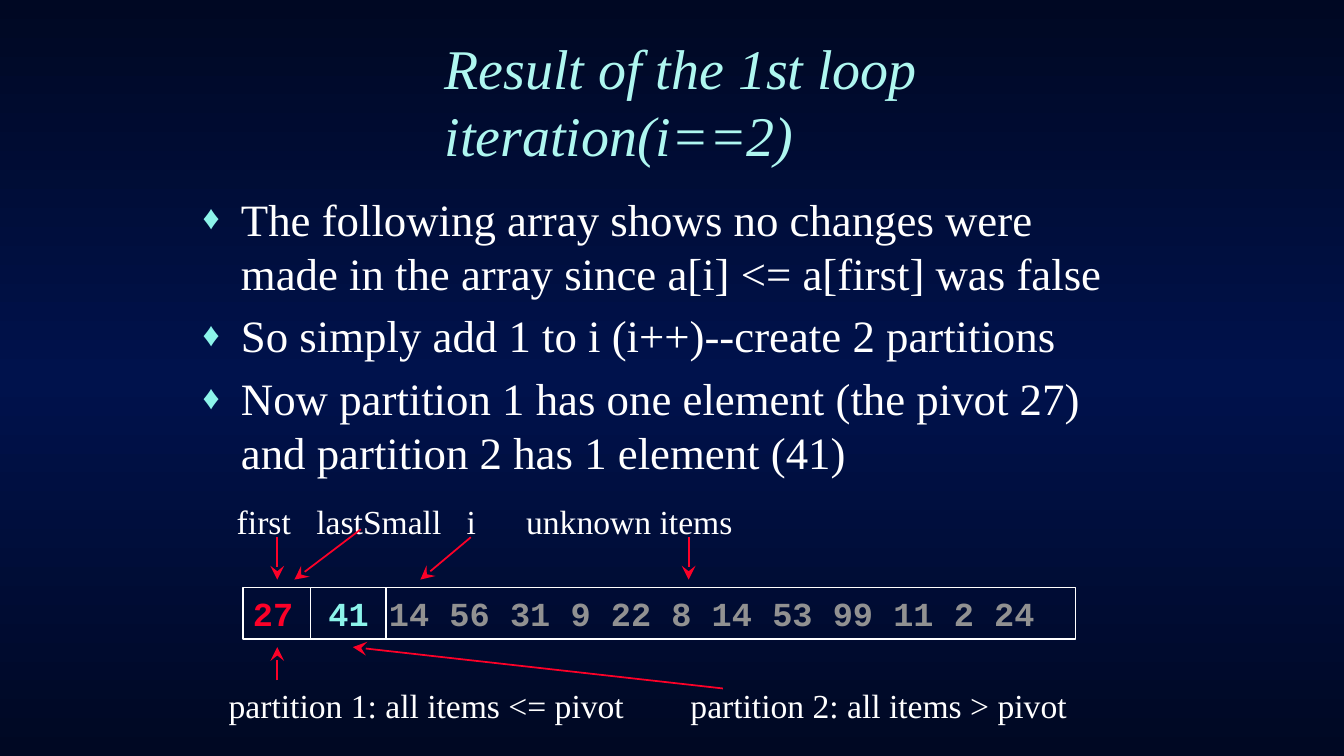
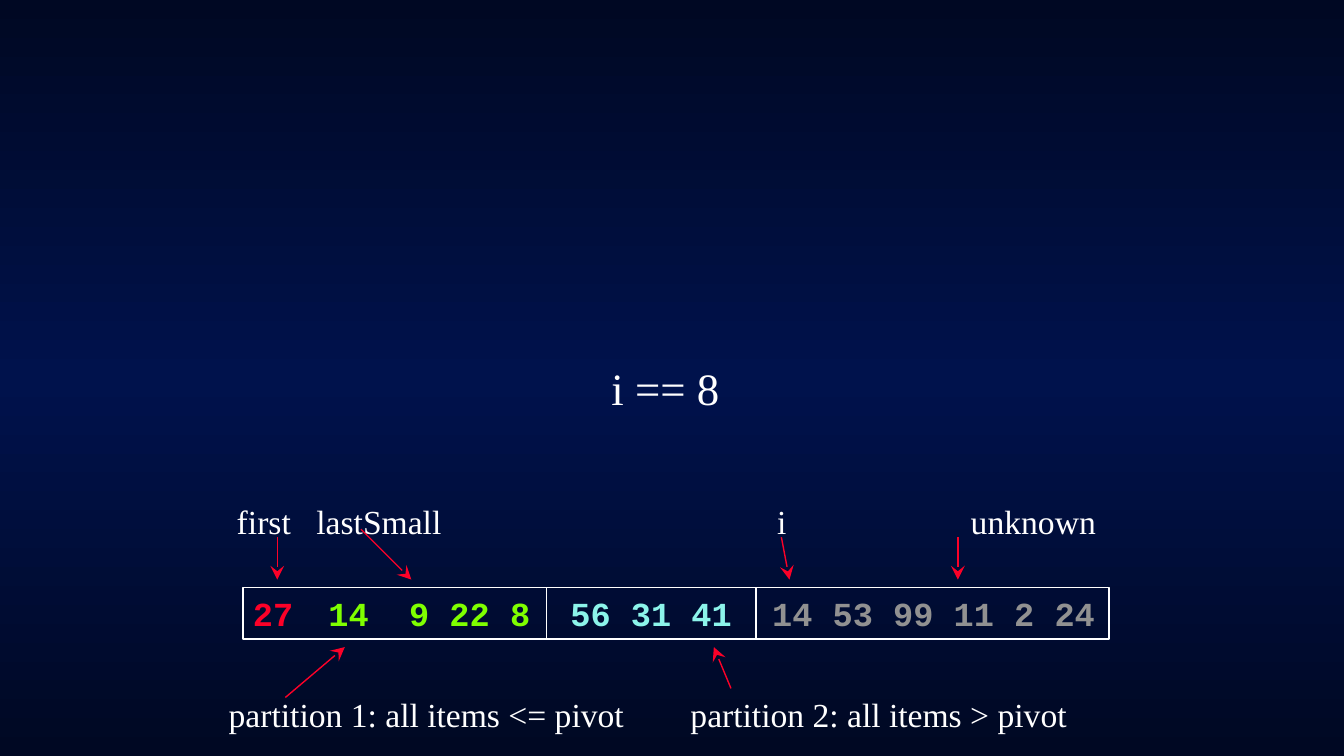
from dataclasses import dataclass

from lxml import etree
from pptx import Presentation
from pptx import util as u
from pptx.dml import color
from pptx.enum import shapes, text
from pptx.oxml import ns


@dataclass(frozen=True)
class Theme:
    """Colours, fonts and sizes that the slides share."""
    edge: str = "000823"
    middle: str = "00124C"
    title: str = "AFF7F0"
    white: str = "FFFFFF"
    red: str = "FC0128"
    cyan: str = "8CF4EA"
    green: str = "7FFF00"
    grey: str = "919191"
    serif: str = "Times New Roman"
    mono: str = "Courier New"
    title_size: int = 40
    body_size: int = 32
    label_size: int = 24


THEME = Theme()
ARRAY_LEFT, ARRAY_TOP, ROW_HEIGHT = 2.41, 5.83, 0.51
LABEL_TOP = 4.92
CHARACTER_WIDTH = 0.2


def rgb(value):
    """Turn a hex string into a colour."""
    return color.RGBColor.from_string(value)


def add_child(parent, tag, **attributes):
    """Append a drawing element with the given attributes."""
    child = etree.SubElement(parent, ns.qn(tag))
    for name, value in attributes.items():
        child.set(name, str(value))
    return child


def paint_background(master):
    """Give the master the dark vertical gradient."""
    fill = master.background.fill
    fill.gradient()
    fill.gradient_angle = 90
    stops = master.element.xpath(".//p:bgPr//a:gsLst")[0]
    for stop in list(stops):
        stops.remove(stop)
    for percent, value in ((0, THEME.edge), (50, THEME.middle), (100, THEME.edge)):
        stop = add_child(stops, "a:gs", pos=percent * 1000)
        add_child(stop, "a:srgbClr", val=value)


def place(shape, left, top, width, height):
    """Move and size a shape, in inches."""
    shape.left, shape.top = u.Inches(left), u.Inches(top)
    shape.width, shape.height = u.Inches(width), u.Inches(height)


def style_font(span, size, value, name=THEME.serif, bold=False, italic=False):
    """Format one run."""
    span.font.size = u.Pt(size)
    span.font.name = name
    span.font.bold = bold
    span.font.italic = italic
    span.font.color.rgb = rgb(value)


def set_paragraph(para, space=0, margin=0.0, indent=0.0, bullet=None):
    """Set spacing in percent, indents and bullet."""
    properties = para._p.get_or_add_pPr()
    properties.set("marL", str(u.Inches(margin)))
    properties.set("indent", str(u.Inches(indent)))
    before = add_child(properties, "a:spcBef")
    add_child(before, "a:spcPct", val=space * 1000)
    if bullet:
        add_child(add_child(properties, "a:buClr"), "a:srgbClr", val=THEME.cyan)
        add_child(properties, "a:buSzPct", val=75000)
        add_child(properties, "a:buChar", char=bullet)
    else:
        add_child(properties, "a:buNone")


def set_title(page, words):
    """Fill the title placeholder."""
    title = page.shapes.title
    place(title, 2.25, 0.5, 7.25, 1)
    frame = title.text_frame
    frame.text = words
    frame.auto_size = text.MSO_AUTO_SIZE.NONE
    frame.vertical_anchor = text.MSO_ANCHOR.MIDDLE
    para = frame.paragraphs[0]
    para.alignment = text.PP_ALIGN.LEFT
    set_paragraph(para, margin=2.06)
    style_font(para.runs[0], THEME.title_size, THEME.title, italic=True)


def set_body(page, lines, bounds, **layout):
    """Fill the body placeholder with one paragraph per line."""
    body = page.placeholders[1]
    place(body, *bounds)
    frame = body.text_frame
    frame.text = "\n".join(lines)
    frame.auto_size = text.MSO_AUTO_SIZE.NONE
    frame.vertical_anchor = text.MSO_ANCHOR.TOP
    for para in frame.paragraphs:
        set_paragraph(para, **layout)
        style_font(para.runs[0], THEME.body_size, THEME.white)
    return frame


def add_text(page, words, left, top, value=THEME.white, **font):
    """Add one line of text in a box as wide as its characters need."""
    box = page.shapes.add_textbox(0, 0, 0, 0)
    place(box, left, top, len(words) * CHARACTER_WIDTH + 0.3, ROW_HEIGHT)
    frame = box.text_frame
    frame.word_wrap = True
    para = frame.paragraphs[0]
    para.text = words
    set_paragraph(para, space=50)
    style_font(para.runs[0], THEME.label_size, value, **font)


def add_labels(page, top, labels):
    """Add a row of labels, each at its own left edge."""
    for left, words in labels:
        add_text(page, words, left, top)


def add_partitions(page, top):
    """Name the two partitions below the array."""
    add_labels(page, top, (
        (2.17, "partition 1: all items <= pivot"),
        (6.75, "partition 2: all items > pivot"),
    ))


def add_line(page, start, end, value, width, arrow=False):
    """Draw a straight line, with an arrowhead at its end if asked."""
    points = [u.Inches(length) for length in (*start, *end)]
    line = page.shapes.add_connector(shapes.MSO_CONNECTOR.STRAIGHT, *points)
    line.line.color.rgb = rgb(value)
    line.line.width = u.Pt(width)
    if arrow:
        outline = line.line._get_or_add_ln()
        add_child(outline, "a:tailEnd", type="stealth", w="lg", len="lg")
    add_child(line._element.spPr, "a:effectLst")


def add_arrows(page, routes, width):
    """Draw the red pointer arrows."""
    for start, end in routes:
        add_line(page, start, end, THEME.red, width, arrow=True)


def add_array(page, width, segments, dividers):
    """Draw the array as a framed row of coloured numbers."""
    box = page.shapes.add_shape(shapes.MSO_SHAPE.RECTANGLE, 0, 0, 0, 0)
    place(box, ARRAY_LEFT, ARRAY_TOP, width, ROW_HEIGHT)
    box.shadow.inherit = False
    box.fill.background()
    box.line.color.rgb = rgb(THEME.white)
    box.line.width = u.Pt(1)
    for offset, numbers, value in segments:
        add_text(page, numbers, ARRAY_LEFT + offset, ARRAY_TOP, value,
                 name=THEME.mono, bold=True)
    for x in dividers:
        add_line(page, (x, ARRAY_TOP), (x, ARRAY_TOP + 0.5), THEME.white, 1)


def build_first_iteration(page):
    """Build the slide on the first loop iteration."""
    set_title(page, "Result of the 1st loop iteration(i==2)")
    set_body(page, (
        "The following array shows no changes were made in the array since a[i] <= a[first] was false",
        "So simply add 1 to i (i++)--create 2 partitions",
        "Now partition 1 has one element (the pivot 27) and partition 2 has 1 element (41)",
    ), (1.91, 1.85, 9.27, 3.01), space=20, margin=0.38, indent=-0.38, bullet="♦")
    add_array(page, 8.26, (
        (0, "27", THEME.red),
        (0.75, "41", THEME.cyan),
        (1.35, "14 56 31 9 22 8 14 53 99 11 2 24", THEME.grey),
    ), (3.08, 3.83))
    add_labels(page, LABEL_TOP, (
        (2.25, "first"), (3.04, "lastSmall"), (4.53, "i"), (5.12, "unknown items"),
    ))
    add_partitions(page, 6.75)
    add_arrows(page, (
        ((2.75, 5.33), (2.75, 5.75)),
        ((3.58, 5.25), (2.92, 5.75)),
        ((4.67, 5.33), (4.17, 5.75)),
        ((6.83, 5.33), (6.83, 5.75)),
        ((2.75, 6.75), (2.75, 6.42)),
        ((7.17, 6.83), (3.5, 6.42)),
    ), 1.25)


def build_eighth_index(page):
    """Build the slide on the state at index eight."""
    title = page.shapes.title._element
    title.getparent().remove(title)
    frame = set_body(page, ("i == 8",), (2, 1.92, 9.08, 3.17), margin=0.43, indent=-0.31)
    frame.margin_top = u.Inches(1.66)
    frame.paragraphs[0].alignment = text.PP_ALIGN.CENTER
    add_array(page, 8.59, (
        (0, "27", THEME.red),
        (0.75, "14", THEME.green),
        (1.55, "9 22 8", THEME.green),
        (3.15, "56 31 41", THEME.cyan),
        (5.15, "14 53 99 11 2 24", THEME.grey),
    ), (5.42, 7.5))
    add_labels(page, LABEL_TOP, (
        (2.25, "first"), (3.04, "lastSmall"), (7.61, "i"), (9.53, "unknown"),
    ))
    add_partitions(page, 6.83)
    add_arrows(page, (
        ((2.75, 5.33), (2.75, 5.75)),
        ((3.58, 5.25), (4.08, 5.75)),
        ((7.75, 5.33), (7.83, 5.75)),
        ((9.5, 5.33), (9.5, 5.75)),
        ((2.83, 6.92), (3.42, 6.42)),
        ((7.25, 6.83), (7.08, 6.42)),
    ), 1)


def main():
    """Build and save the deck."""
    deck = Presentation()
    deck.slide_width, deck.slide_height = u.Inches(13.33), u.Inches(7.5)
    paint_background(deck.slide_master)
    for build in (build_first_iteration, build_eighth_index):
        build(deck.slides.add_slide(deck.slide_layouts[1]))
    deck.save("out.pptx")


if __name__ == "__main__":
    main()
